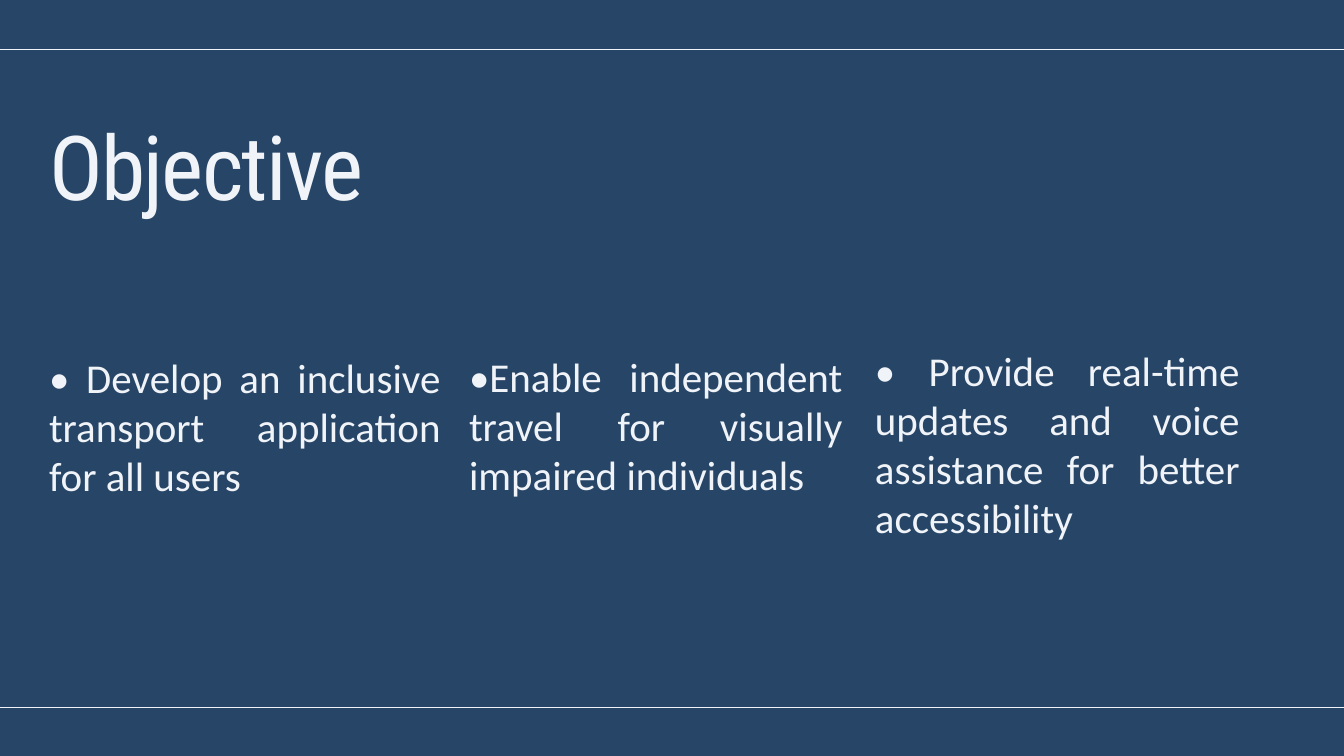
from lxml import etree
from pptx import Presentation
from pptx.dml.color import RGBColor
from pptx.enum.shapes import MSO_CONNECTOR
from pptx.enum.text import MSO_ANCHOR, MSO_AUTO_SIZE, PP_ALIGN
from pptx.oxml.ns import qn
from pptx.util import Inches, Pt

NAVY = RGBColor(0x27, 0x45, 0x67)
PALE = RGBColor(0xF0, 0xF4, 0xF8)
STRAIGHT = MSO_CONNECTOR.STRAIGHT

SLIDE_WIDTH, SLIDE_HEIGHT = 20, 11.25
RULE_TOPS = (0.74, 10.53)

FRAME_FORMAT = {
    "margin_left": 0,
    "margin_top": 0,
    "margin_right": 0,
    "margin_bottom": 0,
    "word_wrap": True,
    "auto_size": MSO_AUTO_SIZE.SHAPE_TO_FIT_TEXT,
    "vertical_anchor": MSO_ANCHOR.TOP,
}
TITLE_PARAGRAPH = {"alignment": PP_ALIGN.LEFT, "line_spacing": Pt(96)}
TITLE_FONT = {"name": "Roboto Condensed", "size": Pt(96)}
GOAL_PARAGRAPH = {"alignment": PP_ALIGN.JUSTIFY, "line_spacing": Pt(52.7)}
GOAL_FONT = {"name": "Calibri", "size": Pt(43.9)}

GOALS = [
    ("• Develop an inclusive transport application for all users",
     (0.73, 5.24, 5.83, 2.97)),
    ("•Enable independent travel for visually impaired individuals",
     (6.98, 5.23, 5.56, 2.97)),
    ("• Provide real-time updates and voice assistance for better accessibility",
     (13.02, 5.14, 5.43, 3.72)),
]


def apply_format(target, values):
    for name, value in values.items():
        setattr(target, name, value)


def write_text(box, text, para_format, font_format):
    frame = box.text_frame
    apply_format(frame, FRAME_FORMAT)
    para = frame.paragraphs[0]
    apply_format(para, para_format)
    span = para.add_run()
    span.text = text
    apply_format(span.font, font_format)
    span.font.color.rgb = PALE
    return span


def set_title(slide, text):
    title = slide.shapes.title
    title.left, title.top = Inches(0.73), Inches(1.91)
    title.width, title.height = Inches(18.54), Inches(1.4)
    span = write_text(title, text, TITLE_PARAGRAPH, TITLE_FONT)
    span.font._element.set("spc", "-190")


def add_goal(slide, text, bounds):
    box = slide.shapes.add_textbox(*map(Inches, bounds))
    write_text(box, text, GOAL_PARAGRAPH, GOAL_FONT)


def add_rule(slide, top):
    rule = slide.shapes.add_connector(
        STRAIGHT, 0, Inches(top), Inches(SLIDE_WIDTH), Inches(top))
    rule.line.color.rgb = PALE
    rule.line.width = Pt(1.5)
    etree.SubElement(rule._element.spPr, qn("a:effectLst"))


def main():
    deck = Presentation()
    deck.slide_width = Inches(SLIDE_WIDTH)
    deck.slide_height = Inches(SLIDE_HEIGHT)
    page = deck.slides.add_slide(deck.slide_layouts.get_by_name("Title Only"))
    page.background.fill.solid()
    page.background.fill.fore_color.rgb = NAVY

    set_title(page, "Objective")
    for text, bounds in GOALS:
        add_goal(page, text, bounds)
    for top in RULE_TOPS:
        add_rule(page, top)

    deck.save("out.pptx")


if __name__ == "__main__":
    main()
